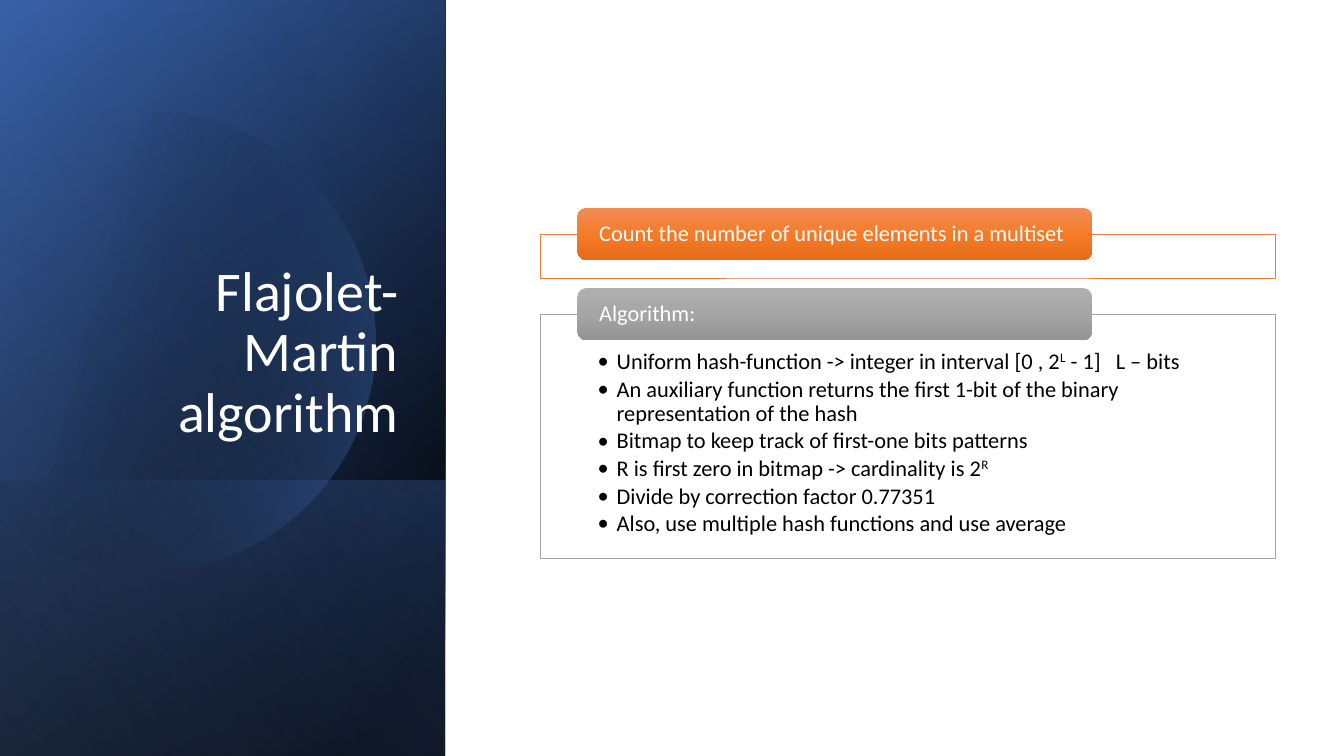
import lxml.etree
import pptx
import pptx.dml.color
import pptx.enum.shapes
import pptx.enum.text
import pptx.oxml
import pptx.oxml.ns
import pptx.util

COLORS = {
    "white": "FFFFFF", "black": "000000", "blue": "4472C4",
    "deep blue": "2F5597", "pale blue": "8FAADC",
    "orange": "ED7D31", "gray": "A5A5A5",
}
CELL = pptx.util.Inches(1) // 12  # the slide is a grid of 160 columns by 90 rows
COLUMNS, ROWS = 160, 90
PANEL_WIDTH = 53


def fill_gradient(shape, angle, stops):
    """Fill with (position %, color, opacity %) stops and remove the outline."""
    shape.shadow.inherit = False
    shape.line.fill.background()
    shape.fill.solid()
    solid = shape._element.spPr.find(pptx.oxml.ns.qn("a:solidFill"))
    marks = "".join(
        f'<a:gs pos="{position * 1000}"><a:srgbClr val="{color}">'
        f'<a:alpha val="{opacity * 1000}"/></a:srgbClr></a:gs>'
        for position, color, opacity in stops)
    gradient = pptx.oxml.parse_xml(
        f'<a:gradFill {pptx.oxml.ns.nsdecls("a")} rotWithShape="1"><a:gsLst>{marks}</a:gsLst>'
        f'<a:lin ang="{angle * 60000}" scaled="0"/></a:gradFill>')
    solid.getparent().replace(solid, gradient)


def add_span(para, text, size, color):
    span = para.add_run()
    span.text = text
    span.font.name = "Calibri"
    span.font.size = pptx.util.Pt(size)
    span.font.color.rgb = pptx.dml.color.RGBColor.from_string(COLORS[color])
    return span


deck = pptx.Presentation()
deck.slide_width, deck.slide_height = COLUMNS * CELL, ROWS * CELL
page = deck.slides.add_slide(deck.slide_layouts[6])
shapes = page.shapes
kinds = pptx.enum.shapes.MSO_SHAPE

# Left panel: gradient layers, each turned a quarter, with a disc below the last
layers = [
    (0, 50, [(8, COLORS["black"], 100), (100, COLORS["deep blue"], 100)]),
    (0, 30, [(0, COLORS["black"], 0), (99, COLORS["blue"], 46)]),
    (57.2, 130, [(2, COLORS["blue"], 29), (100, COLORS["black"], 30)]),
    (0, 120, [(0, COLORS["black"], 0), (99, COLORS["pale blue"], 11)]),
]
disc_start = (17.9, 13.2)
disc_curves = [
    [(29.5, 13.4), (40.2, 21.2), (43.6, 33)],
    [(47.8, 47.6), (39.4, 62.8), (24.8, 67)],
    [(15.7, 69.6), (6.4, 67.3), (0, 61.7)],
    [(0, 61.7), (0, 19.3), (0, 19.3)],
    [(2.8, 17), (6, 15.4), (9.6, 14.3)],
    [(12.4, 13.6), (15.1, 13.2), disc_start],
]
for number, (top, angle, stops) in enumerate(layers):
    if number == len(layers) - 1:
        outline = shapes.build_freeform(*(int(cells * CELL) for cells in disc_start))
        outline.add_line_segments(
            [tuple(int(cells * CELL) for cells in curve[-1]) for curve in disc_curves])
        disc = outline.convert_to_shape()
        # Bend each straight side into its Bezier curve
        sides = list(disc._element.spPr.iter(pptx.oxml.ns.qn("a:lnTo")))
        for side, curve in zip(sides, disc_curves):
            bend = lxml.etree.Element(pptx.oxml.ns.qn("a:cubicBezTo"))
            for x, y in curve:
                point = lxml.etree.SubElement(bend, pptx.oxml.ns.qn("a:pt"))
                point.set("x", str(int(x * CELL) - disc.left))
                point.set("y", str(int(y * CELL) - disc.top))
            side.getparent().replace(side, bend)
        fill_gradient(disc, 14, [(29, COLORS["black"], 0), (100, COLORS["blue"], 43)])
    height = ROWS - top
    layer = shapes.add_shape(
        kinds.RECTANGLE, int((PANEL_WIDTH - height) / 2 * CELL),
        int((top + (height - PANEL_WIDTH) / 2) * CELL),
        int(height * CELL), PANEL_WIDTH * CELL)
    layer.rotation = 90
    layer._element.spPr.xfrm.set("flipH", "1")
    fill_gradient(layer, angle, stops)

title = shapes.add_textbox(*(int(cells * CELL) for cells in (7.7, 22.1, 40.9, 31.4)))
title.text_frame.word_wrap = True
title.text_frame.vertical_anchor = pptx.enum.text.MSO_ANCHOR.BOTTOM
para = title.text_frame.paragraphs[0]
para.alignment = pptx.enum.text.PP_ALIGN.RIGHT
para.line_spacing = 0.9
add_span(para, "Flajolet-Martin algorithm", 40, "white")

# Right side: outlined cards, each with a heading tab over its top edge
steps = [
    [("Uniform hash-function -> integer in interval [0 , 2", ""), ("L", "raised"),
     (" - 1]", ""), (" ", "wide"), ("L – bits", "")],
    [("An auxiliary function returns the first 1-bit of the binary "
      "representation of the hash", "")],
    [("Bitmap to keep track of first-one bits patterns", "")],
    [("R is first zero in bitmap -> cardinality is 2", ""), ("R", "raised")],
    [("Divide by correction factor 0.77351", "")],
    [("Also, use multiple hash functions and use average", "")],
]
cards = [
    (27.85, 5.25, "orange", ("F18C57", "F67B28", "E56C19"),
     "Count the number of unique elements in a multiset", []),
    (37.4, 29.1, "gray", ("AFAFAF", "A5A5A5", "939393"), "Algorithm:", steps),
]
for top, height, line_color, shades, heading, bullets in cards:
    card = shapes.add_shape(
        kinds.RECTANGLE, *(int(cells * CELL) for cells in (64.3, top, 87.5, height)))
    card.shadow.inherit = False
    card.fill.solid()
    card.fill.fore_color.rgb = pptx.dml.color.RGBColor.from_string(COLORS["white"])
    card.line.color.rgb = pptx.dml.color.RGBColor.from_string(COLORS[line_color])
    card.line.width = pptx.util.Pt(0.5)
    frame = card.text_frame
    frame.word_wrap = True
    frame.vertical_anchor = pptx.enum.text.MSO_ANCHOR.TOP
    frame.margin_left = frame.margin_right = pptx.util.Inches(0.57)
    frame.margin_top = pptx.util.Inches(0.36)
    frame.margin_bottom = pptx.util.Inches(0.12)
    for index, pieces in enumerate(bullets):
        para = frame.add_paragraph() if index else frame.paragraphs[0]
        para.alignment = pptx.enum.text.PP_ALIGN.LEFT
        para.line_spacing = 0.9
        para.space_after = pptx.util.Pt(2.4)
        settings = para._p.get_or_add_pPr()
        indent = pptx.util.Inches(0.19)
        settings.set("marL", str(indent))
        settings.set("indent", str(-indent))
        for tag, key, value in (("a:buFont", "typeface", "Calibri"), ("a:buChar", "char", "•")):
            lxml.etree.SubElement(settings, pptx.oxml.ns.qn(tag)).set(key, value)
        for text, style in pieces:
            span = add_span(para, text, 16, "black")
            if style == "raised":
                span.font._element.set("baseline", "30000")
            elif style == "wide":
                span.font._element.set("spc", "720")

    tab = shapes.add_shape(
        kinds.ROUNDED_RECTANGLE, *(int(cells * CELL) for cells in (68.75, top - 3.1, 61.25, 6.2)))
    fill_gradient(tab, 90, [(share, shade, 100) for share, shade in zip((0, 50, 100), shades)])
    frame = tab.text_frame
    frame.word_wrap = True
    frame.vertical_anchor = pptx.enum.text.MSO_ANCHOR.MIDDLE
    frame.margin_left = frame.margin_right = pptx.util.Inches(0.19)
    frame.margin_top = frame.margin_bottom = 0
    para = frame.paragraphs[0]
    para.alignment = pptx.enum.text.PP_ALIGN.LEFT
    para.line_spacing = 0.9
    add_span(para, heading, 16, "white")

deck.save("out.pptx")
